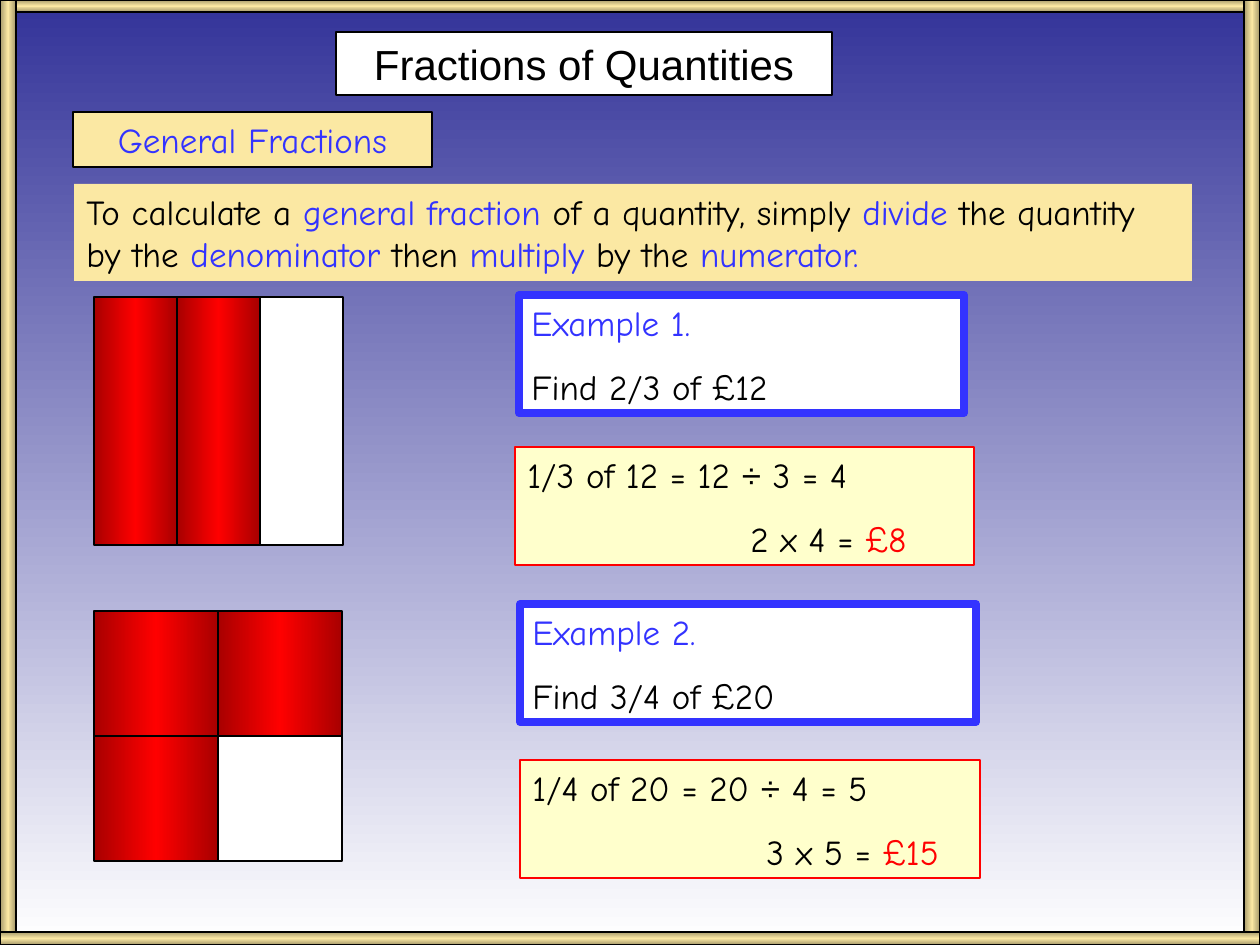
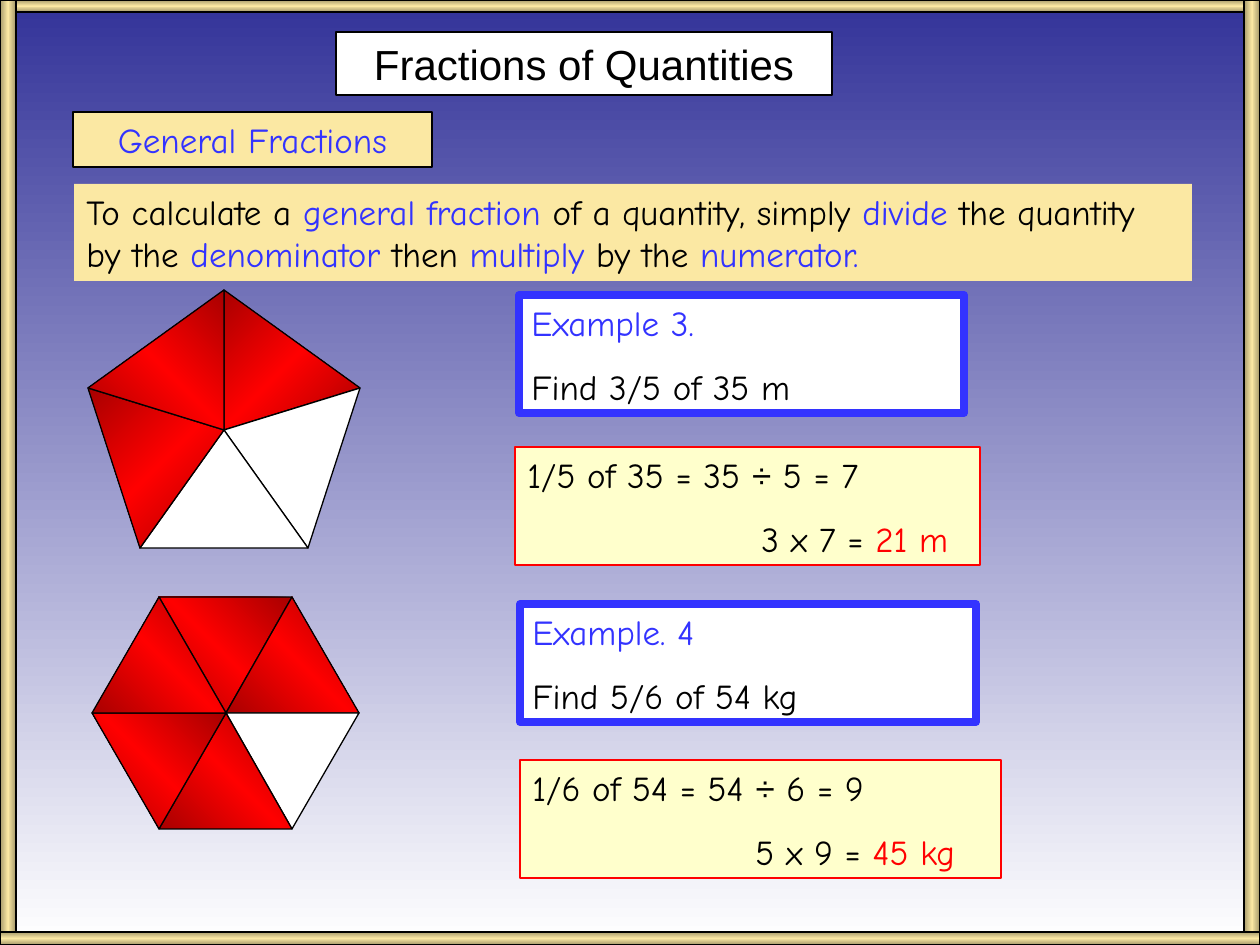
from collections import namedtuple
from copy import deepcopy

from pptx import Presentation
from pptx.dml.color import RGBColor
from pptx.enum.shapes import MSO_SHAPE
from pptx.enum.text import MSO_ANCHOR, MSO_AUTO_SIZE, PP_ALIGN
from pptx.oxml.ns import qn
from pptx.util import Emu, Inches, Pt

PX = 914400 / 126
BLACK = RGBColor(0x00, 0x00, 0x00)
WHITE = RGBColor(0xFF, 0xFF, 0xFF)
NAVY = RGBColor(0x33, 0x33, 0x99)
BLUE = RGBColor(0x33, 0x33, 0xFF)
RED = RGBColor(0xFF, 0x00, 0x00)
DARK_RED = RGBColor(0xA8, 0x00, 0x00)
SAND = RGBColor(0xFB, 0xE8, 0xA3)
DARK_SAND = RGBColor(0xA5, 0x99, 0x6B)
CREAM = RGBColor(0xFF, 0xFF, 0xCC)
COMIC, ARIAL = "Comic Neue", "Arial"

Gradient = namedtuple("Gradient", "angle colours")
Panel = namedtuple("Panel", "at fill line width lines align size",
                   defaults=(BLACK, 0.75, (), PP_ALIGN.LEFT, 20))
Line = namedtuple("Line", "spans indent", defaults=(0,))
Example = namedtuple("Example", "heading question start end product answer indent width")
Fan = namedtuple("Fan", "centre corners fills")

RED_ACROSS = Gradient(0, (DARK_RED, RED, DARK_RED))
RED_FALLING = Gradient(225, (DARK_RED, RED, DARK_RED))
RED_RISING = Gradient(135, (DARK_RED, RED, DARK_RED))
BAND_ACROSS = Gradient(0, (DARK_SAND, SAND, DARK_SAND))
BAND_DOWN = Gradient(270, (DARK_SAND, SAND, DARK_SAND))

TITLE = Panel((336, 32, 496, 63), WHITE, align=PP_ALIGN.CENTER, size=24,
              lines=[Line([("Fractions of Quantities", BLACK, ARIAL)])])
RULE = [("To calculate a ", BLACK), ("general fraction", BLUE),
        (" of a quantity, simply ", BLACK), ("divide", BLUE),
        (" the quantity by the ", BLACK), ("denominator ", BLUE), ("then", BLACK),
        (" multiply ", BLUE), ("by the", BLACK), (" numerator.", BLUE)]
SHARED_PANELS = [
    TITLE,
    Panel((0, 0, 1260, 12), BAND_DOWN),
    Panel((0, 932, 1260, 13), BAND_DOWN),
    Panel((0, 0, 16, 932), BAND_ACROSS),
    Panel((1244, 0, 16, 932), BAND_ACROSS),
    Panel((74, 184, 1118, 97), SAND, None, lines=[Line(RULE)]),
    Panel((73, 112, 359, 55), SAND, align=PP_ALIGN.CENTER,
          lines=[Line([("General Fractions", BLUE)])]),
]

# Left and top of the question, then of the working, for each example on a slide
EXAMPLE_SPOTS = [((519, 295, 445), (515, 447)), ((520, 604, 456), (520, 760))]
EXAMPLES = [
    [Example("Example 1.", "Find 2/3 of £12", "1/3 of 12 = 12 ", " 3 = 4",
             "2 x 4 = ", "£8", 223, 459),
     Example("Example 2.", "Find 3/4 of £20", "1/4 of 20 = 20 ", " 4 = 5",
             "3 x 5 = ", "£15", 234, 460)],
    [Example("Example 3.", "Find 3/5 of 35 m", "1/5 of 35 = 35 ", " 5 = 7",
             "3 x 7 = ", "21 m", 234, 465),
     Example("Example. 4", "Find 5/6 of 54 kg", "1/6 of 54 = 54 ", " 6 = 9",
             "5 x 9 = ", "45 kg", 223, 481)],
]

THIRDS = [Panel((94 + 83 * column, 297, 83, 248), fill)
          for column, fill in enumerate([RED_ACROSS, RED_ACROSS, WHITE])]
QUARTERS = [Panel((94 + 124 * (cell % 2), 611 + 125 * (cell // 2), 124, 125), fill)
            for cell, fill in enumerate([RED_ACROSS] * 3 + [WHITE])]
FIFTHS = Fan((224, 430), [(224, 290), (360, 388), (308, 548), (140, 548), (88, 388)],
             [RED_RISING, WHITE, WHITE, RED_RISING, RED_FALLING])
SIXTHS = Fan((226, 713),
             [(159, 597), (292, 597), (359, 713), (292, 829), (159, 829), (92, 713)],
             [RED_FALLING] * 2 + [WHITE] + [RED_FALLING] * 3)


def paint(shape, fill, line=BLACK, width=0.75):
    shape.shadow.inherit = False
    if isinstance(fill, Gradient):
        shape.fill.gradient()
        shape.fill.gradient_angle = fill.angle
        stop_list = shape.element.spPr.find(".//" + qn("a:gsLst"))
        stop_list.insert(1, deepcopy(stop_list[0]))
        for index, (stop, colour) in enumerate(zip(shape.fill.gradient_stops, fill.colours)):
            stop.position = index / 2
            stop.color.rgb = colour
    else:
        shape.fill.solid()
        shape.fill.fore_color.rgb = fill
    if line is None:
        shape.line.fill.background()
    else:
        shape.line.color.rgb = line
        shape.line.width = Pt(width)


def write(frame, panel):
    frame_format = {"word_wrap": True, "auto_size": MSO_AUTO_SIZE.NONE,
                    "vertical_anchor": MSO_ANCHOR.TOP,
                    "margin_left": Inches(0.1), "margin_right": Inches(0.1),
                    "margin_top": Inches(0.05), "margin_bottom": Inches(0.05)}
    for name, value in frame_format.items():
        setattr(frame, name, value)
    for index, line in enumerate(panel.lines):
        para = frame.add_paragraph() if index else frame.paragraphs[0]
        para.alignment = panel.align
        para.space_before = Pt(12.5 if index else 0)
        if line.indent:
            para_format = para._p.get_or_add_pPr()
            para_format.set("marL", str(round(line.indent * PX)))
            para_format.set("indent", "0")
        for text, colour, *font in line.spans:
            span = para.add_run()
            span.text = text
            span.font.name = font[0] if font else COMIC
            span.font.size = Pt(panel.size)
            span.font.color.rgb = colour


deck = Presentation()
deck.slide_width, deck.slide_height = Inches(10), Inches(7.5)

for examples, bars, fans in zip(EXAMPLES, [THIRDS + QUARTERS, []], [[], [FIFTHS, SIXTHS]]):
    page = deck.slides.add_slide(deck.slide_layouts[5])
    backdrop = page.background.fill
    backdrop.gradient()
    backdrop.gradient_angle = 270
    for stop, colour in zip(backdrop.gradient_stops, (NAVY, WHITE)):
        stop.color.rgb = colour

    panels = SHARED_PANELS + bars
    for example, (question_spot, working_spot) in zip(examples, EXAMPLE_SPOTS):
        question = [Line([(example.heading, BLUE)]), Line([(example.question, BLACK)])]
        working = [
            Line([(example.start, BLACK), ("÷", BLACK, ARIAL), (example.end, BLACK)]),
            Line([(example.product, BLACK), (example.answer, RED)], example.indent),
        ]
        panels += [Panel((*question_spot, 118), WHITE, BLUE, 4.5, question),
                   Panel((*working_spot, example.width, 118), CREAM, RED, lines=working)]

    for panel in panels:
        if panel is TITLE:
            shape = page.shapes.title
        else:
            shape = page.shapes.add_shape(MSO_SHAPE.RECTANGLE, 0, 0, 0, 0)
        for side, length in zip(("left", "top", "width", "height"), panel.at):
            setattr(shape, side, Emu(round(length * PX)))
        paint(shape, panel.fill, panel.line, panel.width)
        if panel.lines:
            write(shape.text_frame, panel)

    for fan in fans:
        next_corners = fan.corners[1:] + fan.corners[:1]
        for corner, next_corner, fill in zip(fan.corners, next_corners, fan.fills):
            outline = page.shapes.build_freeform(*fan.centre, scale=PX)
            outline.add_line_segments([corner, next_corner], close=True)
            paint(outline.convert_to_shape(), fill)

deck.save("out.pptx")
